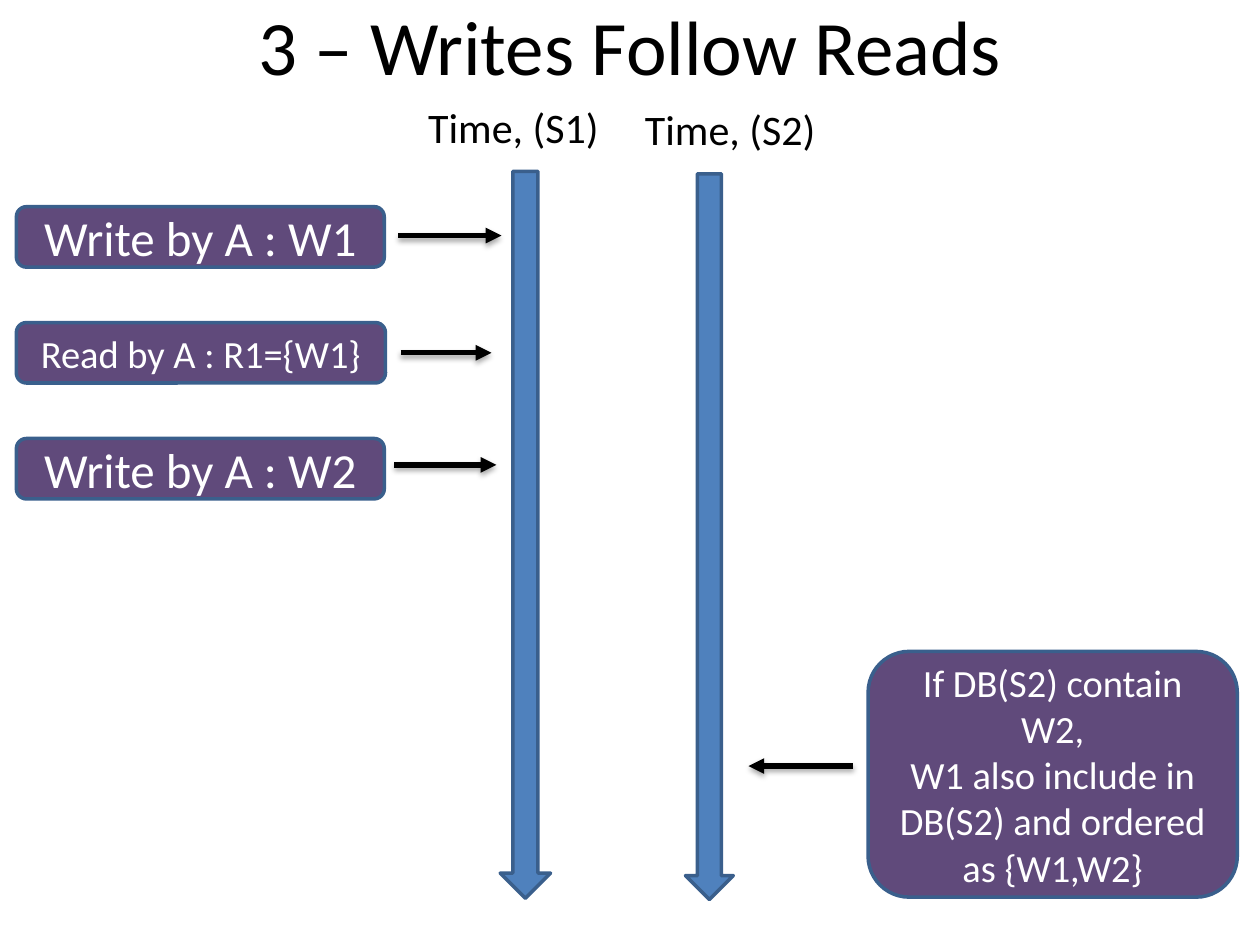
from dataclasses import dataclass

from lxml import etree
from pptx import Presentation
from pptx import util as u
from pptx.dml.color import RGBColor
from pptx.enum import shapes, text
from pptx.oxml.ns import qn

PX = 9144  # EMU per px, 100 px to the inch
FONT = "Calibri"
BLACK = RGBColor(0x00, 0x00, 0x00)
WHITE = RGBColor(0xFF, 0xFF, 0xFF)
PURPLE = RGBColor(0x60, 0x4A, 0x7B)
BLUE = RGBColor(0x4F, 0x81, 0xBD)
OUTLINE = RGBColor(0x3A, 0x5F, 0x8C)


@dataclass(frozen=True)
class Box:
    left: int
    top: int
    width: int
    height: int

    def emu(self) -> list[int]:
        return [v * PX for v in (self.left, self.top, self.width, self.height)]


@dataclass(frozen=True)
class Timeline:
    label: str
    label_box: Box
    arrow_box: Box


@dataclass(frozen=True)
class Event:
    lines: tuple[str, ...]
    size: int
    box: Box
    arrow_start: tuple[int, int]
    arrow_end: tuple[int, int]


TIMELINES = [
    Timeline("Time, (S1)", Box(330, 76, 186, 51), Box(397, 136, 40, 577)),
    Timeline("Time, (S2)", Box(502, 77, 186, 51), Box(544, 138, 38, 576)),
]
EVENTS = [
    Event(("Write by A : W1",), 28, Box(13, 164, 292, 48), (316, 187), (398, 187)),
    Event(("Read by A : R1={W1}",), 22, Box(13, 256, 293, 48), (318, 280), (390, 280)),
    Event(("Write by A : W2",), 28, Box(13, 348, 292, 48), (313, 369), (394, 369)),
    Event(("If DB(S2) contain W2,", "W1 also include in DB(S2) and ordered as {W1,W2}"),
          22, Box(689, 517, 293, 195), (677, 608), (594, 608)),
]


def write_text(shape, lines, size: int, color: RGBColor, align, anchor) -> None:
    frame = shape.text_frame
    for name, value in {"word_wrap": True, "vertical_anchor": anchor}.items():
        setattr(frame, name, value)
    frame.text = "\n".join(lines)
    for paragraph in frame.paragraphs:
        paragraph.alignment = align
        for name, value in {"name": FONT, "size": u.Pt(size)}.items():
            setattr(paragraph.font, name, value)
        paragraph.font.color.rgb = color


def add_label(slide, label: str, box: Box, size: int,
              align=text.PP_ALIGN.LEFT, anchor=text.MSO_ANCHOR.TOP) -> None:
    write_text(slide.shapes.add_textbox(*box.emu()), [label], size, BLACK, align, anchor)


def add_filled(slide, kind, box: Box, fill: RGBColor):
    shape = slide.shapes.add_shape(kind, *box.emu())
    shape.shadow.inherit = False
    shape.fill.solid()
    shape.fill.fore_color.rgb = fill
    shape.line.color.rgb = OUTLINE
    shape.line.width = u.Pt(2)
    return shape


def add_arrow(slide, start: tuple[int, int], end: tuple[int, int]) -> None:
    arrow = slide.shapes.add_connector(
        shapes.MSO_CONNECTOR.STRAIGHT, *(v * PX for v in start + end))
    arrow.line.color.rgb = BLACK
    arrow.line.width = u.Pt(3)
    properties = arrow.line._get_or_add_ln()
    etree.SubElement(properties, qn("a:tailEnd"), type="triangle")
    # Soft shadow straight below the line
    effects = etree.SubElement(properties.getparent(), qn("a:effectLst"))
    shadow = etree.SubElement(
        effects, qn("a:outerShdw"), blurRad=str(u.Pt(3.1)), dist=str(u.Pt(1.8)),
        dir="5400000", rotWithShape="0")
    color = etree.SubElement(shadow, qn("a:srgbClr"), val=str(BLACK))
    etree.SubElement(color, qn("a:alpha"), val="35000")


def add_timeline(slide, timeline: Timeline) -> None:
    add_label(slide, timeline.label, timeline.label_box, 24)
    add_filled(slide, shapes.MSO_SHAPE.DOWN_ARROW, timeline.arrow_box, BLUE)


def add_event(slide, event: Event) -> None:
    add_arrow(slide, event.arrow_start, event.arrow_end)
    shape = add_filled(slide, shapes.MSO_SHAPE.ROUNDED_RECTANGLE, event.box, PURPLE)
    write_text(shape, event.lines, event.size, WHITE,
               text.PP_ALIGN.CENTER, text.MSO_ANCHOR.MIDDLE)


def main() -> None:
    presentation = Presentation()
    presentation.slide_width = 1000 * PX
    presentation.slide_height = 750 * PX
    slide = presentation.slides.add_slide(presentation.slide_layouts[6])

    # Title
    add_label(slide, "3 – Writes Follow Reads", Box(50, -27, 900, 125), 44,
              text.PP_ALIGN.CENTER, text.MSO_ANCHOR.MIDDLE)

    # Time axes of the two servers
    for timeline in TIMELINES:
        add_timeline(slide, timeline)

    # Operations and the resulting guarantee
    for event in EVENTS:
        add_event(slide, event)

    presentation.save("out.pptx")


if __name__ == "__main__":
    main()
